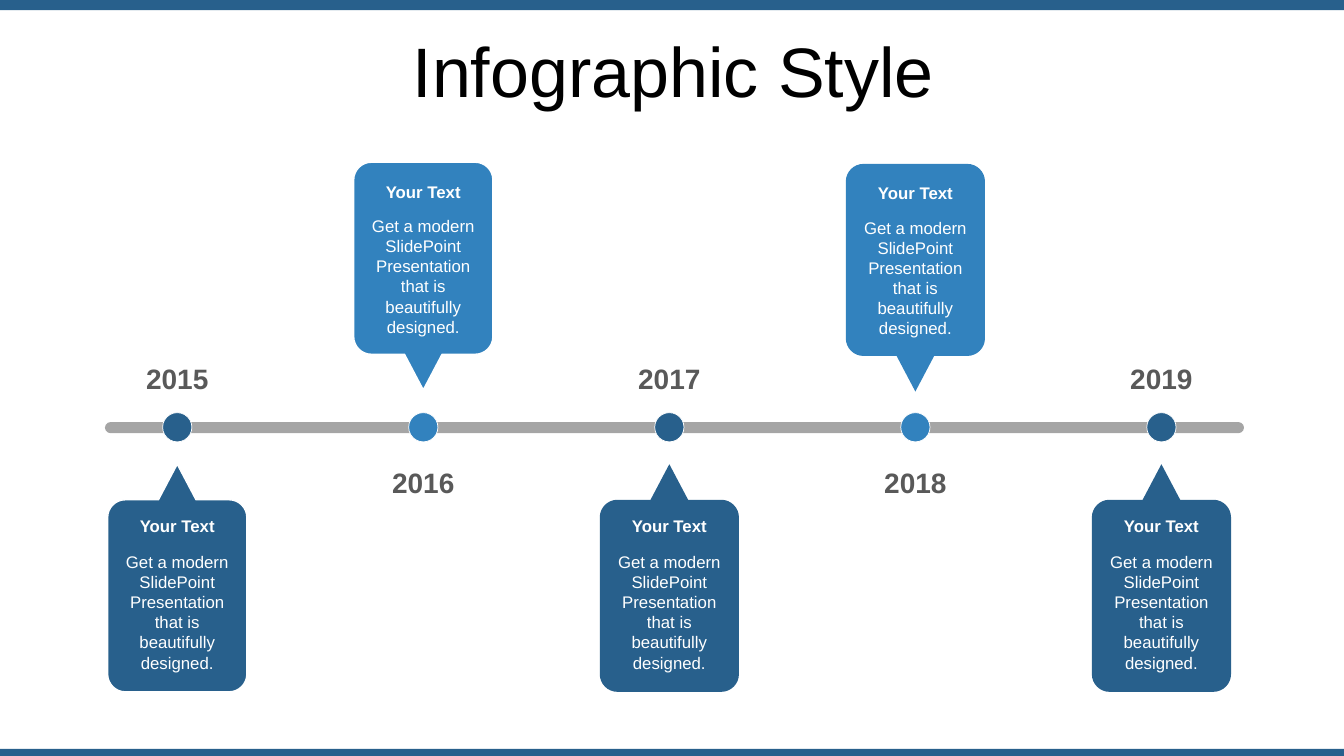
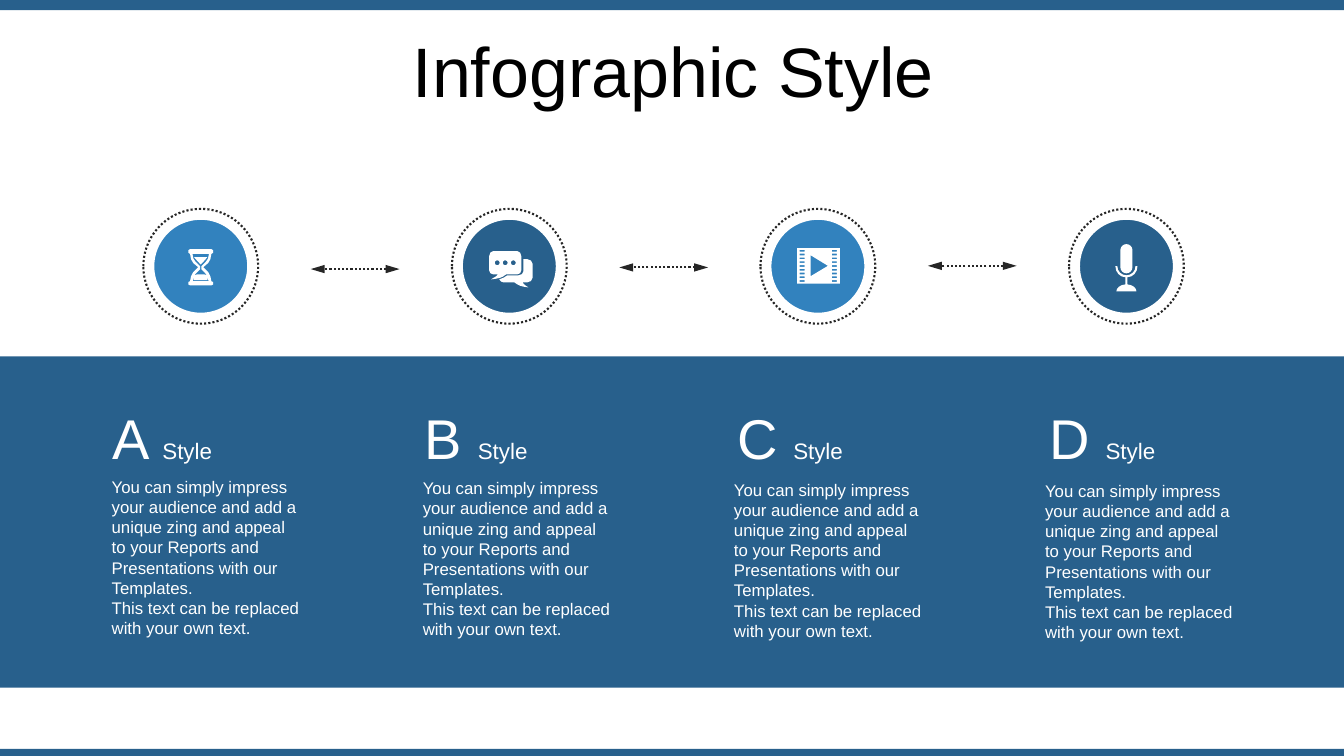
"""Build a timeline slide and a four-column style slide with shared bands and title."""
from lxml import etree
from pptx import Presentation
from pptx.dml.color import RGBColor
from pptx.enum.dml import MSO_LINE
from pptx.enum.shapes import MSO_CONNECTOR, MSO_SHAPE
from pptx.enum.text import MSO_ANCHOR, MSO_AUTO_SIZE, PP_ALIGN
from pptx.oxml.ns import qn
from pptx.util import Pt

RECT, ROUNDED, OVAL = MSO_SHAPE.RECTANGLE, MSO_SHAPE.ROUNDED_RECTANGLE, MSO_SHAPE.OVAL
STRAIGHT, DOTTED = MSO_CONNECTOR.STRAIGHT, MSO_LINE.ROUND_DOT
LEFT, CENTER = PP_ALIGN.LEFT, PP_ALIGN.CENTER
TOP, MIDDLE, BOTTOM = MSO_ANCHOR.TOP, MSO_ANCHOR.MIDDLE, MSO_ANCHOR.BOTTOM
NO_AUTOFIT = MSO_AUTO_SIZE.NONE

DARK_BLUE = RGBColor(0x28, 0x60, 0x8C)
LIGHT_BLUE = RGBColor(0x32, 0x82, 0xBE)
GRAY = RGBColor(0x80, 0x80, 0x80)
YEAR_GRAY = RGBColor(0x59, 0x59, 0x59)
INK = RGBColor(0x26, 0x26, 0x26)
BLACK = RGBColor(0, 0, 0)
WHITE = RGBColor(0xFF, 0xFF, 0xFF)

FONT = "Arial"
WIDTH, HEIGHT = 960, 540
TITLE = "Infographic Style"
BANDS = [(0, 7.2), (535, 5)]

ABOVE = {"colour": LIGHT_BLUE, "tip": 278.5, "down": -1,
         "heading": 126, "body": 150.5, "year": 329}
BELOW = {"colour": DARK_BLUE, "tip": 331.6, "down": 1,
         "heading": 365, "body": 390.4, "year": 254.6}
MILESTONES = [
    ("2015", BELOW, 0, WHITE),
    ("2016", ABOVE, 0, WHITE),
    ("2017", BELOW, 0, None),
    ("2018", ABOVE, 1.2, None),
    ("2019", BELOW, 0, None),
]
CARD_HEADING = "Your Text"
CARD_BODY = "Get a modern SlidePoint Presentation that is beautifully designed."
FIRST_YEAR_X, YEAR_STEP, TIMELINE_Y = 126.6, 175.75, 305.2
CARD_WIDTH, CARD_HEIGHT, CARD_RADIUS = 99.4, 162.6, 12.6
TAIL_HEIGHT, TAIL_HALF = 25.4, 13.4
DOT = 20.9

STYLES = ["A", "B", "C", "D"]
STYLE_TEXT = [
    "You can simply impress your audience and add a unique zing and appeal "
    "to your Reports and Presentations with our Templates.",
    "This text can be replaced with your own text.",
]
FIRST_ICON_X, ICON_STEP, ICON_Y = 143.4, 220.4, 190.2
DISC, RING = 67.6, 82
ARROW_X, ARROW_Y, ARROW_DROP, ARROW_LENGTH = 222, 192.2, -1.15, 63.4
HEADING_X, HEADING_STEP = 73.4, 223.1
TEXT_X, TEXT_Y, TEXT_STEP, TEXT_DROP = 72.7, 336.9, 222.25, 0.95


def curve(start, corner, end):
    """Return the two controls and the end of a quarter ellipse."""
    controls = [tuple(c + (k - c) * 0.55 for c, k in zip(point, corner)) for point in (start, end)]
    return (*controls, end)


def box(left, top, width, height):
    right, bottom = left + width, top + height
    return [(left, top), (right, top), (right, bottom), (left, bottom)]


def pill(left, top, width, height):
    """Return an upright box with fully round ends."""
    r, right, bottom = width / 2, left + width, top + height
    upper, lower, middle = top + r, bottom - r, left + r
    return [
        (left, upper),
        curve((left, upper), (left, top), (middle, top)),
        curve((middle, top), (right, top), (right, upper)),
        (right, lower),
        curve((right, lower), (right, bottom), (middle, bottom)),
        curve((middle, bottom), (left, bottom), (left, lower)),
    ]


def symmetric(profile):
    """Return a closed outline from (y, half width) pairs."""
    return [(half, y) for y, half in profile] + [(-half, y) for y, half in reversed(profile)]


HOURGLASS = [symmetric(profile) for profile in (
    [(-12.2, 7.6), (-11.4, 8.9), (-9.6, 8.9), (-8.8, 7.6), (-5, 6.9), (-2.2, 5.3), (0.7, 1.8),
     (4.3, 5.4), (7.2, 6.9), (10.7, 7.6), (11.3, 8.9), (13, 8.9), (13.7, 7.6)],
    [(-8.8, 5.9), (-5.5, 5.2), (-3.6, 4), (0, 0.5), (2.2, 0.5), (5.8, 4), (10.7, 5.7)],
    [(-6.5, 4.7), (-5, 3.5), (-1.4, 0.2)],
    [(5.8, 2.5), (6.5, 4.5), (10, 4.9)],
)]
REAR_BUBBLE = [
    (10.1, -5), (13, -5), curve((13, -5), (16.6, -5), (16.6, -1.8)),
    (16.6, 8.2), curve((16.6, 8.2), (16.6, 11.5), (13, 11.5)),
    (9.4, 11.5), ((10.1, 12.2), (10.1, 13), (13.7, 15.1)),
    ((7.9, 14.4), (6.5, 13.7), (3.6, 11.5)),
    (-4.3, 11.5), ((-5, 11.5), (-6.5, 10.8), (-7.2, 9.4)),
    ((-5, 8.6), (-2.9, 7.9), (-1.4, 6.5)),
    (6.5, 6.5), curve((6.5, 6.5), (10.1, 6.5), (10.1, 3.6)),
]
FRONT_BUBBLE = [
    (-11.5, -10.8), (5.8, -10.8), curve((5.8, -10.8), (8.6, -10.8), (8.6, -7.2)),
    (8.6, 2.9), curve((8.6, 2.9), (8.6, 5.8), (5.8, 5.8)),
    (-2.2, 5.8), ((-5.8, 8.6), (-7.2, 8.6), (-13, 9.4)),
    ((-10.1, 7.2), (-9.4, 7.9), (-7.9, 5.8)),
    (-11.5, 5.8), curve((-11.5, 5.8), (-14.4, 5.8), (-14.4, 2.9)),
    (-14.4, -7.2), curve((-14.4, -7.2), (-14.4, -10.8), (-11.5, -10.8)),
]
CHAT = [pill(x, -4.3, 3.6, 3.6) for x in (-10.4, -4.7, 1.1)] + [REAR_BUBBLE, FRONT_BUBBLE]
FILM = [box(-14.8, -13, 30.6, 25.5), [(-5.2, -7.9), (-5.2, 7.2), (7.2, -0.3)]]
FILM += [box(x, -11.6 + 2.7 * row, 3.6, 1.2) for x in (-13, 10.1) for row in range(9)]
STAND = [
    (7.9, 0), curve((7.9, 0), (7.9, 7.9), (0.7, 7.9)),
    (0.7, 13), curve((0.7, 13), (7.2, 13.4), (7.2, 18)),
    (-7.2, 18), curve((-7.2, 18), (-7.2, 13.4), (-0.7, 13)),
    (-0.7, 7.9), curve((-0.7, 7.9), (-7.9, 7.9), (-7.9, 0)),
    (-6.5, 0), curve((-6.5, 0), (-6.5, 6.5), (0, 6.5)),
    curve((0, 6.5), (6.5, 6.5), (6.5, 0)),
]
MICROPHONE = [STAND, pill(-4.3, -15.8, 8.6, 20.9)]
ICONS = [HOURGLASS, CHAT, FILM, MICROPHONE]


def paint(shape, fill=None, line=None, line_width=1.0):
    shape.shadow.inherit = False
    if fill is None:
        shape.fill.background()
    else:
        shape.fill.solid()
        shape.fill.fore_color.rgb = fill
    if line is None:
        shape.line.fill.background()
    else:
        shape.line.color.rgb = line
        shape.line.width = Pt(line_width)
    return shape


def add_preset(slide, preset, bounds, *colours):
    return paint(slide.shapes.add_shape(preset, *map(Pt, bounds)), *colours)


def add_circle(slide, cx, cy, size, *colours):
    return add_preset(slide, OVAL, (cx - size / 2, cy - size / 2, size, size), *colours)


def add_outline(slide, origin, contours, *colours):
    """Draw closed contours made of points and of cubic curves (two controls, end)."""
    builder, sizes = None, []
    for contour in contours:
        steps = [step if isinstance(step[0], tuple) else (step,) for step in contour]
        vertices = [(Pt(origin[0] + x), Pt(origin[1] + y)) for step in steps for x, y in step]
        if builder is None:
            builder = slide.shapes.build_freeform(*vertices[0])
        else:
            builder.move_to(*vertices[0])
        builder.add_line_segments(vertices[1:], close=True)
        sizes += [len(step) for step in steps[1:]]
    shape = builder.convert_to_shape()
    route = next(shape.element.iter(qn("a:path")))
    segments = iter(route.findall(qn("a:lnTo")))
    for size in sizes:
        group = [next(segments) for _ in range(size)]
        if size == 3:
            bezier = route.makeelement(qn("a:cubicBezTo"))
            group[0].addprevious(bezier)
            for segment in group:
                bezier.append(segment[0])
                route.remove(segment)
    return paint(shape, *colours)


def format_paragraph(paragraph, size, colour, align=LEFT, bold=False):
    paragraph.alignment = align
    font = paragraph.font
    font.name, font.size, font.bold = FONT, Pt(size), bold
    font.color.rgb = colour


def add_text(slide, bounds, lines, size, colour=WHITE, align=LEFT, bold=False, anchor=TOP):
    frame = slide.shapes.add_textbox(*map(Pt, bounds)).text_frame
    frame.word_wrap = True
    frame.vertical_anchor = anchor
    frame.text = "\n".join(lines)
    for paragraph in frame.paragraphs:
        format_paragraph(paragraph, size, colour, align, bold)
    return frame


def add_titled_slide(deck):
    slide = deck.slides.add_slide(deck.slide_layouts[5])
    for top, height in BANDS:
        add_preset(slide, RECT, (0, top, WIDTH, height), DARK_BLUE)
    title = slide.shapes.title
    title.left, title.top, title.width, title.height = map(Pt, (25.4, 26.6, 911.5, 56.9))
    frame = title.text_frame
    frame.text = TITLE
    frame.auto_size = NO_AUTOFIT
    frame.vertical_anchor = MIDDLE
    paragraph = frame.paragraphs[0]
    paragraph.line_spacing = 0.8
    format_paragraph(paragraph, 50, BLACK, CENTER)
    return slide


def card_outline(down):
    """Return a rounded card with its tail tip at the origin; down is 1 or -1."""
    half, r = CARD_WIDTH / 2, CARD_RADIUS
    near, far = TAIL_HEIGHT * down, CARD_HEIGHT * down
    near_side, far_side = near + r * down, far - r * down
    inner = half - r
    return [
        (0, 0), (TAIL_HALF, near),
        (inner, near), curve((inner, near), (half, near), (half, near_side)),
        (half, far_side), curve((half, far_side), (half, far), (inner, far)),
        (-inner, far), curve((-inner, far), (-half, far), (-half, far_side)),
        (-half, near_side), curve((-half, near_side), (-half, near), (-inner, near)),
        (-TAIL_HALF, near),
    ]


def build_timeline(deck):
    slide = add_titled_slide(deck)
    bar = add_preset(slide, ROUNDED, (75, 301.5, 813.6, 7.9), GRAY)
    bar.adjustments[0] = 0.5
    colour = next(bar.element.spPr.iter(qn("a:srgbClr")))
    etree.SubElement(colour, qn("a:alpha"), val="70000")
    for i, (year, side, drop, edge) in enumerate(MILESTONES):
        cx = FIRST_YEAR_X + YEAR_STEP * i
        left = cx - CARD_WIDTH / 2
        add_circle(slide, cx, TIMELINE_Y, DOT, side["colour"], WHITE, 0.5)
        add_outline(slide, (cx, side["tip"] + drop), [card_outline(side["down"])],
                    side["colour"], edge)
        add_text(slide, (left, side["heading"] + drop, CARD_WIDTH, 21.6), [CARD_HEADING], 12,
                 align=CENTER, bold=True)
        add_text(slide, (left, side["body"] + drop, CARD_WIDTH, 94.3), [CARD_BODY], 12,
                 align=CENTER)
        add_text(slide, (left, side["year"], CARD_WIDTH, 31.7), [year], 20,
                 YEAR_GRAY, CENTER, True)


def add_double_arrow(slide, left, y):
    arrow = slide.shapes.add_connector(STRAIGHT, Pt(left + ARROW_LENGTH), Pt(y), Pt(left), Pt(y))
    arrow.line.color.rgb = INK
    arrow.line.width = Pt(1.5)
    arrow.line.dash_style = DOTTED
    properties = next(arrow.element.iter(qn("a:ln")))
    for end in ("a:headEnd", "a:tailEnd"):
        etree.SubElement(properties, qn(end), type="triangle", w="med", len="lg")
    etree.SubElement(properties.getparent(), qn("a:effectLst"))


def build_styles(deck):
    slide = add_titled_slide(deck)
    add_preset(slide, RECT, (0, 254.5, WIDTH, 236.6), DARK_BLUE)
    for i, (letter, icon) in enumerate(zip(STYLES, ICONS)):
        text_box = (TEXT_X + TEXT_STEP * i, TEXT_Y + TEXT_DROP * i, 149, 123.8)
        add_text(slide, text_box, STYLE_TEXT, 12)
        heading = add_text(slide, (HEADING_X + HEADING_STEP * i, 284.1, 113, 55.4),
                           [letter + " "], 40, anchor=BOTTOM)
        label = heading.paragraphs[0].add_run()
        label.text = "Style"
        label.font.size = Pt(16)

        cx = FIRST_ICON_X + ICON_STEP * i
        add_circle(slide, cx, ICON_Y, DISC, DARK_BLUE if i % 2 else LIGHT_BLUE, WHITE, 1.25)
        ring = add_circle(slide, cx, ICON_Y, RING, None, INK, 1.5)
        ring.line.dash_style = DOTTED
        add_outline(slide, (cx, ICON_Y), icon, WHITE)
        if i < len(STYLES) - 1:
            add_double_arrow(slide, ARROW_X + ICON_STEP * i, ARROW_Y + ARROW_DROP * i)


def main():
    deck = Presentation()
    deck.slide_width, deck.slide_height = Pt(WIDTH), Pt(HEIGHT)
    build_timeline(deck)
    build_styles(deck)
    deck.save("out.pptx")


if __name__ == "__main__":
    main()
